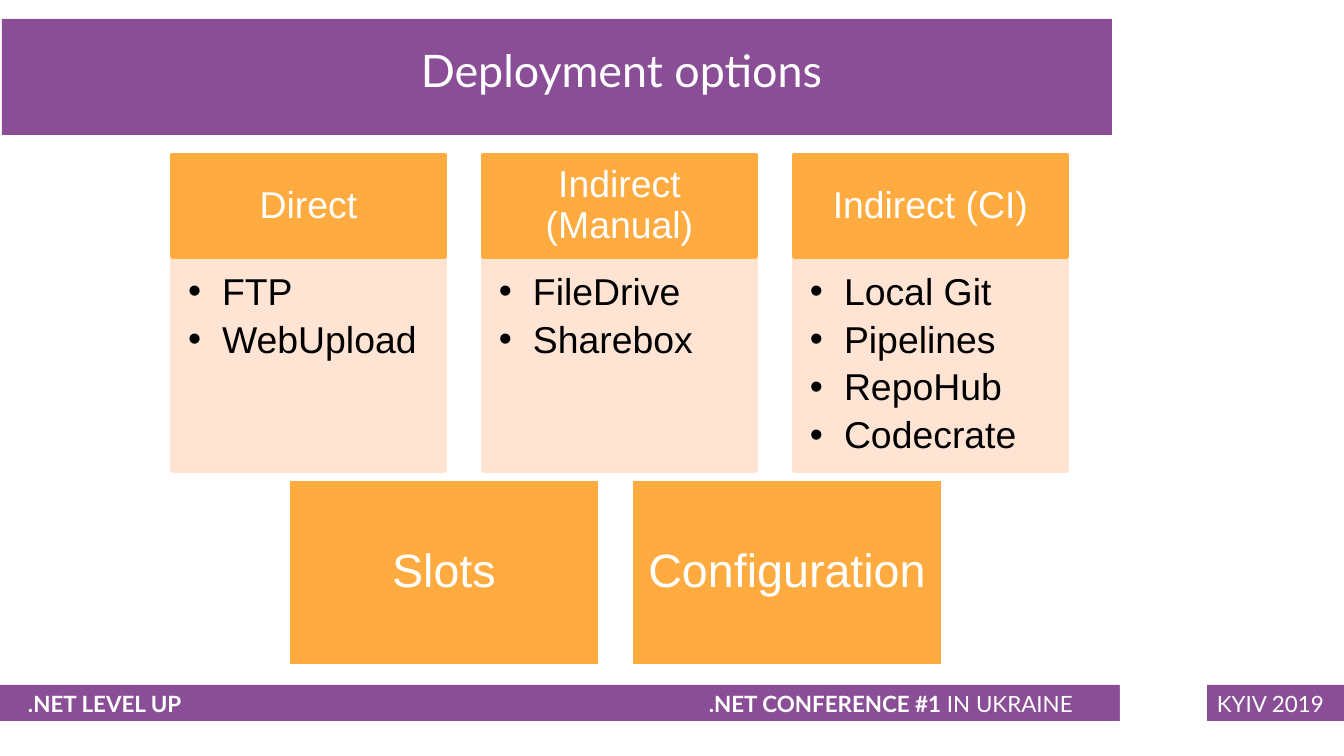
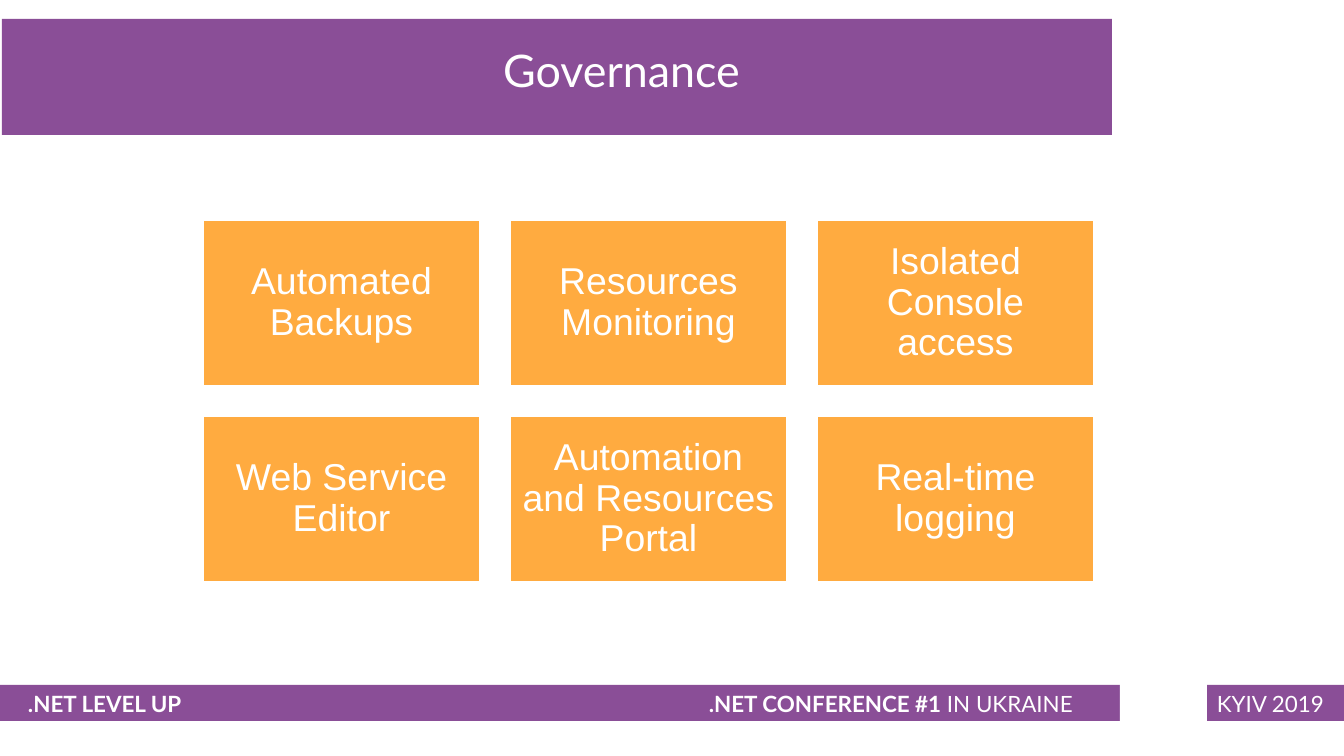
from collections import namedtuple
from lxml.etree import SubElement
from pptx import Presentation
from pptx.dml.color import RGBColor
from pptx.enum.shapes import MSO_SHAPE
from pptx.enum.text import MSO_ANCHOR, MSO_AUTO_SIZE, PP_ALIGN
from pptx.oxml.ns import qn
from pptx.util import Emu, Pt

PURPLE = RGBColor(0x8A, 0x4E, 0x97)
ORANGE = RGBColor(0xFF, 0xAB, 0x40)
PEACH = RGBColor(0xFF, 0xE2, 0xCF)
WHITE = RGBColor(0xFF, 0xFF, 0xFF)
BLACK = RGBColor(0x00, 0x00, 0x00)
HEADING_FONT, BODY_FONT = "Lato", "Arial"
PX_PER_INCH = 134.4
LAYOUT_COMPARISON, LAYOUT_TITLE_ONLY = 4, 5

Box = namedtuple("Box", "left top width height")
SLIDE = Box(0, 0, 1344, 756)
FOOTER_INSETS = (13, 0, 13, 0)

OPTIONS = [
    ("Direct", ["FTP", "WebUpload"]),
    ("Indirect (Manual)", ["FileDrive", "Sharebox"]),
    ("Indirect (CI)", ["Local Git", "Pipelines", "RepoHub", "Codecrate"]),
]
FEATURES = ["Slots", "Configuration"]
GOVERNANCE = [
    "Automated Backups", "Resources Monitoring", "Isolated Console access",
    "Web Service Editor", "Automation and Resources Portal", "Real-time logging",
]


def px(length):
    """Turn a length in px into EMU."""
    return Emu(round(length * 914400 / PX_PER_INCH))


def place(shape, box):
    """Move and size a shape to fill a box."""
    shape.left, shape.top, shape.width, shape.height = map(px, box)


def paint(shape, fill, line=None, opacity=None):
    """Give a shape its fill, a two point line if any, and its opacity."""
    shape.fill.solid()
    shape.fill.fore_color.rgb = fill
    if line is None:
        shape.line.fill.background()
    else:
        shape.line.color.rgb = line
        shape.line.width = Pt(2)
    if opacity is not None:
        for color in shape.element.spPr.iter(qn("a:srgbClr")):
            SubElement(color, qn("a:alpha"), val=str(opacity * 1000))


def set_frame(shape, insets, anchor=MSO_ANCHOR.MIDDLE):
    """Set wrapping, insets and anchor, and return the text frame."""
    frame = shape.text_frame
    frame.word_wrap = True
    frame.auto_size = MSO_AUTO_SIZE.NONE
    frame.vertical_anchor = anchor
    (frame.margin_left, frame.margin_top,
     frame.margin_right, frame.margin_bottom) = map(px, insets)
    return frame


def add_span(para, text, size, font=BODY_FONT, color=WHITE, bold=False):
    """Add one formatted run to a paragraph."""
    span = para.add_run()
    span.text = text
    span.font.size = Pt(size)
    span.font.name = font
    span.font.color.rgb = color
    span.font.bold = bold


def add_block(page, box, fill, line=None):
    """Add a flat rectangle."""
    block = page.shapes.add_shape(MSO_SHAPE.RECTANGLE, *map(px, box))
    block.shadow.inherit = False
    paint(block, fill, line)
    return block


def add_tile(page, box, text, size, insets, line):
    """Add an orange rectangle with a centred caption."""
    tile = add_block(page, box, ORANGE, line)
    para = set_frame(tile, insets).paragraphs[0]
    para.alignment = PP_ALIGN.CENTER
    para.line_spacing = 0.9
    add_span(para, text, size)


def add_footer_text(page, box, alignment, spans):
    """Add a footer line made of (text, bold) spans."""
    label = page.shapes.add_textbox(*map(px, box))
    para = set_frame(label, FOOTER_INSETS).paragraphs[0]
    para.alignment = alignment
    for text, bold in spans:
        add_span(para, text, 12, HEADING_FONT, bold=bold)
    return label


def dress_master(master, page):
    """Draw the title band and the footer, and hand them to the master."""
    furniture = [
        add_block(page, Box(0, 685, 1344, 36), PURPLE),
        add_block(page, Box(1120, 659, 87, 89), WHITE),
        add_footer_text(page, Box(15, 687, 520, 34), PP_ALIGN.LEFT,
                        [(".NET LEVEL UP", True)]),
        add_footer_text(page, Box(539, 687, 547, 34), PP_ALIGN.RIGHT,
                        [(".NET CONFERENCE #1 ", True), ("IN UKRAINE", False)]),
        add_footer_text(page, Box(1187, 687, 150, 34), PP_ALIGN.RIGHT,
                        [("KYIV 2019", False)]),
        add_block(page, Box(2, 19, 1110, 116), PURPLE),
    ]
    for number, shape in enumerate(furniture, 101):
        shape.element.nvSpPr.cNvPr.set("id", str(number))
        master.shapes.element.append(shape.element)


def fill_title(page, text):
    """Write the slide title over the band."""
    title = page.shapes.title
    place(title, Box(184, 30, 875, 84))
    para = set_frame(title, (13, 13, 13, 13), MSO_ANCHOR.TOP).paragraphs[0]
    para.alignment = PP_ALIGN.CENTER
    add_span(para, text, 24, HEADING_FONT)


def fill_list(panel, box, items):
    """Turn a body placeholder into a tinted panel with bullets."""
    place(panel, box)
    paint(panel, PEACH, PEACH, opacity=90)
    frame = set_frame(panel, (16, 16, 21, 23), MSO_ANCHOR.TOP)
    for index, item in enumerate(items):
        para = frame.add_paragraph() if index else frame.paragraphs[0]
        para.alignment = PP_ALIGN.LEFT
        para.line_spacing = 0.9
        para.space_before = Pt(0)
        para.space_after = Pt(4)
        add_span(para, item, 20, color=BLACK)
        props = para._p.get_or_add_pPr()
        props.set("marL", str(px(34)))
        props.set("indent", str(-px(34)))
        SubElement(SubElement(props, qn("a:buClr")), qn("a:srgbClr"), val=str(BLACK))
        SubElement(props, qn("a:buFont"), typeface=BODY_FONT)
        SubElement(props, qn("a:buChar"), char="•")


def add_option_columns(page, box, options):
    """Place equal columns, each a heading over a list."""
    width, heading_height, pitch = 273, 102, 311
    panels = list(page.placeholders)[1:]
    for index, (heading, items) in enumerate(options):
        left = box.left + index * pitch
        add_tile(page, Box(left, box.top, width, heading_height), heading, 20,
                 (21, 12, 21, 12), ORANGE)
        fill_list(panels[index], Box(left, box.top + heading_height, width,
                                     box.height - heading_height), items)
    for panel in panels[len(options):]:
        panel.element.getparent().remove(panel.element)


def add_tile_grid(page, box, captions, columns, gap, size, inset):
    """Fill a box with a grid of equal tiles."""
    rows = len(captions) // columns
    width = (box.width - gap * (columns - 1)) // columns
    height = (box.height - gap * (rows - 1)) // rows
    for index, caption in enumerate(captions):
        row, column = divmod(index, columns)
        tile_box = Box(box.left + column * (width + gap),
                       box.top + row * (height + gap), width, height)
        add_tile(page, tile_box, caption, size, (inset,) * 4, WHITE)


def build_deployment(page):
    """Build the slide of deployment options."""
    fill_title(page, "Deployment options")
    add_option_columns(page, Box(172, 155, 895, 316), OPTIONS)
    add_tile_grid(page, Box(288, 479, 655, 187), FEATURES, 2, 31, 25, 13)


def build_governance(page):
    """Build the slide of governance features."""
    fill_title(page, "Governance")
    add_tile_grid(page, Box(202, 219, 895, 364), GOVERNANCE, 3, 28, 20, 11)


def main():
    """Build and save the deck."""
    deck = Presentation()
    deck.slide_width, deck.slide_height = px(SLIDE.width), px(SLIDE.height)
    deployment = deck.slides.add_slide(deck.slide_layouts[LAYOUT_COMPARISON])
    governance = deck.slides.add_slide(deck.slide_layouts[LAYOUT_TITLE_ONLY])
    dress_master(deck.slide_master, deployment)
    build_deployment(deployment)
    build_governance(governance)
    deck.save("out.pptx")


if __name__ == "__main__":
    main()
